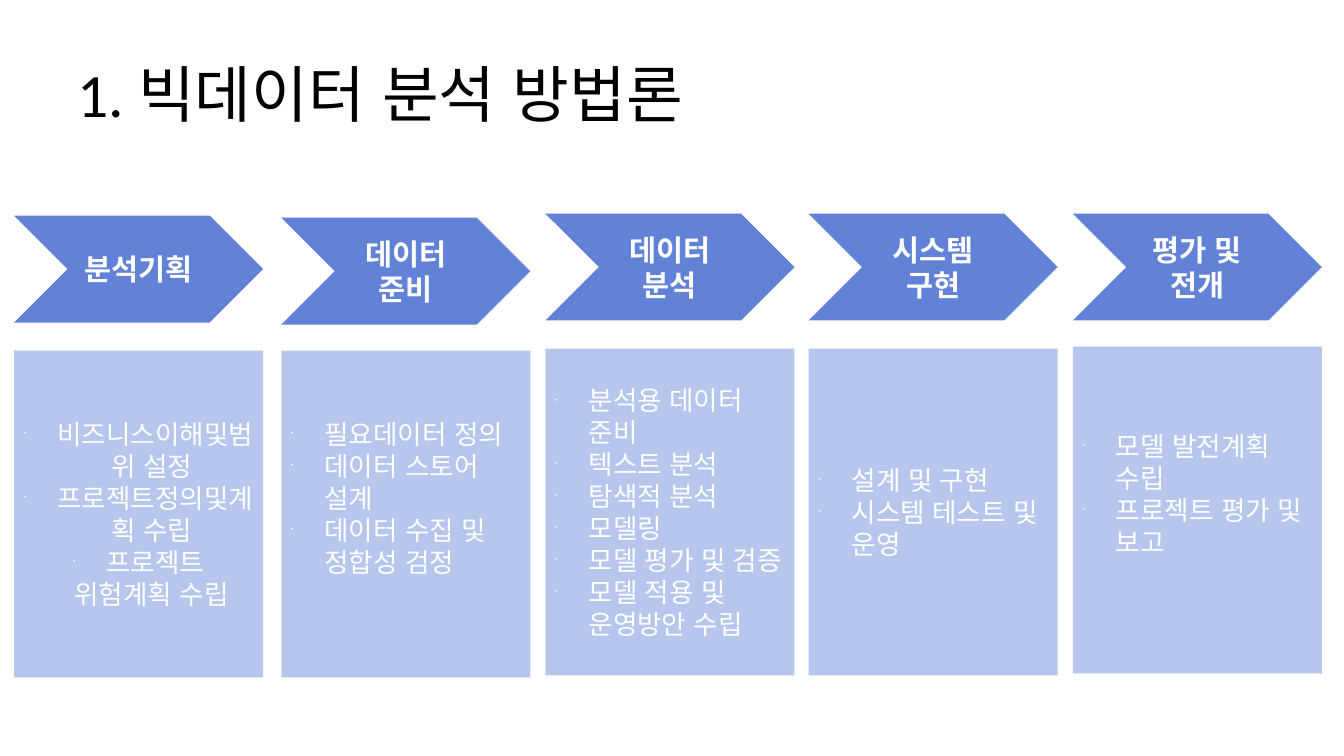
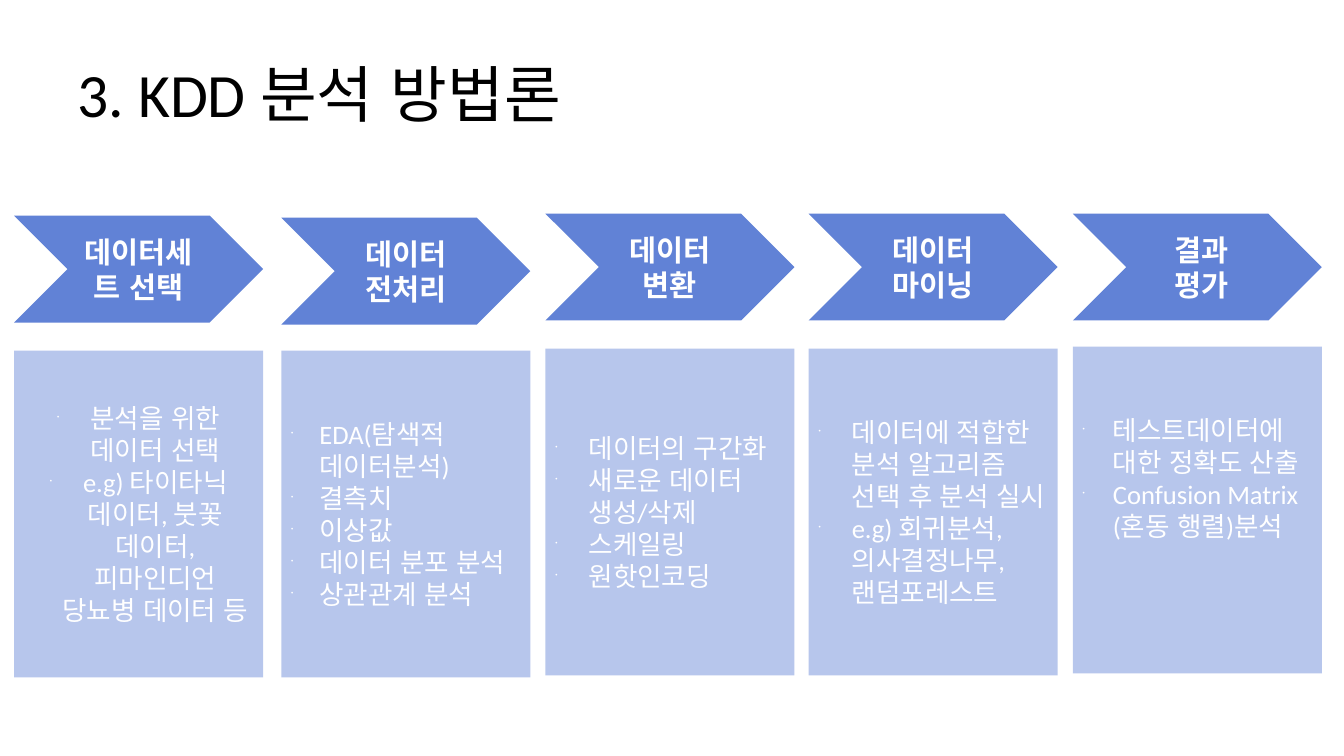
from dataclasses import dataclass

from lxml import etree
from pptx import Presentation
from pptx.dml.color import RGBColor
from pptx.enum import lang, shapes, text
from pptx.oxml import ns
from pptx.util import Inches, Pt


@dataclass(frozen=True)
class Theme:
    font: str = "Calibri"
    blue: str = "6182D6"
    white: str = "FFFFFF"
    black: str = "000000"
    title: int = 44
    head: int = 21
    body: int = 19
    alpha: int = 45
    bullet: int = 25


@dataclass(frozen=True)
class Slot:
    left: float
    head: float
    body: float


@dataclass(frozen=True)
class Step:
    head: list[str]
    items: list[str]
    indent: float = 0.33
    spare: int = 0


@dataclass(frozen=True)
class Page:
    title: str
    steps: list[Step]


THEME = Theme()
WIDTH, HEAD, BODY = 2.47, 1.06, 3.24
LINE = 0.32
SLOTS = [
    Slot(0.14, 2.14, 3.48),
    Slot(2.79, 2.16, 3.48),
    Slot(5.41, 2.12, 3.46),
    Slot(8.02, 2.12, 3.46),
    Slot(10.64, 2.12, 3.44),
]
PAGES = [
    Page("1. 빅데이터 분석 방법론", [
        Step(["분석기획"],
             ["비즈니스이해및범위 설정 ", "프로젝트정의및계획 수립 ",
              "프로젝트 위험계획 수립 "]),
        Step(["데이터 준비"],
             ["필요데이터 정의", "데이터 스토어 설계", "데이터 수집 및 정합성 검정"],
             spare=1),
        Step(["데이터 분석"],
             ["분석용 데이터 준비", "텍스트 분석", "탐색적 분석", "모델링",
              "모델 평가 및 검증", "모델 적용 및 운영방안 수립"]),
        Step(["시스템 구현"], ["설계 및 구현", "시스템 테스트 및 운영"]),
        Step(["평가 및 전개"], ["모델 발전계획 수립", "프로젝트 평가 및 보고"],
             spare=1),
    ]),
    Page("3. KDD 분석 방법론", [
        Step(["데이터세트 선택"],
             ["분석을 위한 데이터 선택",
              "e.g) 타이타닉 데이터, 붓꽃 데이터, 피마인디언 당뇨병 데이터 등"]),
        Step(["데이터", "전처리"],
             ["EDA(탐색적 데이터분석)", "결측치", "이상값", "데이터 분포 분석",
              "상관관계 분석"], indent=0.28),
        Step(["데이터", "변환"],
             ["데이터의 구간화", "새로운 데이터 생성/삭제", "스케일링", "원핫인코딩"]),
        Step(["데이터", "마이닝"],
             ["데이터에 적합한 분석 알고리즘 선택 후 분석 실시",
              "e.g) 회귀분석, 의사결정나무, 랜덤포레스트"]),
        Step([" 결과", " 평가"],
             ["테스트데이터에 대한 정확도 산출", "Confusion Matrix (혼동 행렬)분석"],
             indent=0.3, spare=2),
    ]),
]


def write(shape, lines: list[str], size: int, color: str, align,
          bold: bool = False) -> list:
    frame = shape.text_frame
    frame.word_wrap = True
    frame.vertical_anchor = text.MSO_ANCHOR.MIDDLE
    frame.text = "\n".join(lines)
    for para in frame.paragraphs:
        para.alignment = align
        font = para.font
        font.name, font.size, font.bold = THEME.font, Pt(size), bold
        font.color.rgb = RGBColor.from_string(color)
        font.language_id = lang.MSO_LANGUAGE_ID.KOREAN
    return list(frame.paragraphs)


def add_block(slide, kind, left: float, top: float, height: float):
    shape = slide.shapes.add_shape(
        kind, Inches(left), Inches(top), Inches(WIDTH), Inches(height))
    shape.shadow.inherit = False
    shape.fill.solid()
    shape.fill.fore_color.rgb = RGBColor.from_string(THEME.blue)
    shape.line.fill.background()
    return shape


def fade(shape) -> None:
    color = shape.fill._xPr.find(".//" + ns.qn("a:srgbClr"))
    etree.SubElement(color, ns.qn("a:alpha"), val=str(THEME.alpha * 1000))


def add_bullet(para, indent: float) -> None:
    props = para._p.get_or_add_pPr()
    props.set("marL", str(Inches(indent)))
    props.set("indent", str(-Inches(indent)))
    tint = etree.Element(ns.qn("a:buClr"))
    etree.SubElement(tint, ns.qn("a:srgbClr"), val=THEME.white)
    size = etree.Element(ns.qn("a:buSzPct"), val=str(THEME.bullet * 1000))
    mark = etree.Element(ns.qn("a:buChar"), char="•")
    for place, node in enumerate((tint, size, mark)):
        props.insert(place, node)


def add_step(slide, slot: Slot, step: Step, align) -> None:
    head = add_block(slide, shapes.MSO_SHAPE.CHEVRON, slot.left, slot.head, HEAD)
    write(head, step.head, THEME.head, THEME.white, text.PP_ALIGN.CENTER, True)
    body = add_block(slide, shapes.MSO_SHAPE.RECTANGLE, slot.left, slot.body, BODY)
    fade(body)
    body.text_frame.margin_bottom = Inches(0.05 + LINE * step.spare)
    for para in write(body, step.items, THEME.body, THEME.white, align):
        add_bullet(para, step.indent)


def add_page(deck, page: Page) -> None:
    slide = deck.slides.add_slide(deck.slide_layouts[6])
    title = slide.shapes.add_textbox(
        Inches(0.67), Inches(0.3), Inches(12), Inches(1.25))
    write(title, [page.title], THEME.title, THEME.black, text.PP_ALIGN.LEFT)
    for slot, step in zip(SLOTS, page.steps):
        first = slot is SLOTS[0]
        align = text.PP_ALIGN.CENTER if first else text.PP_ALIGN.LEFT
        add_step(slide, slot, step, align)


def main() -> None:
    deck = Presentation()
    deck.slide_width, deck.slide_height = Inches(13.33), Inches(7.5)
    for page in PAGES:
        add_page(deck, page)
    deck.save("out.pptx")


if __name__ == "__main__":
    main()
